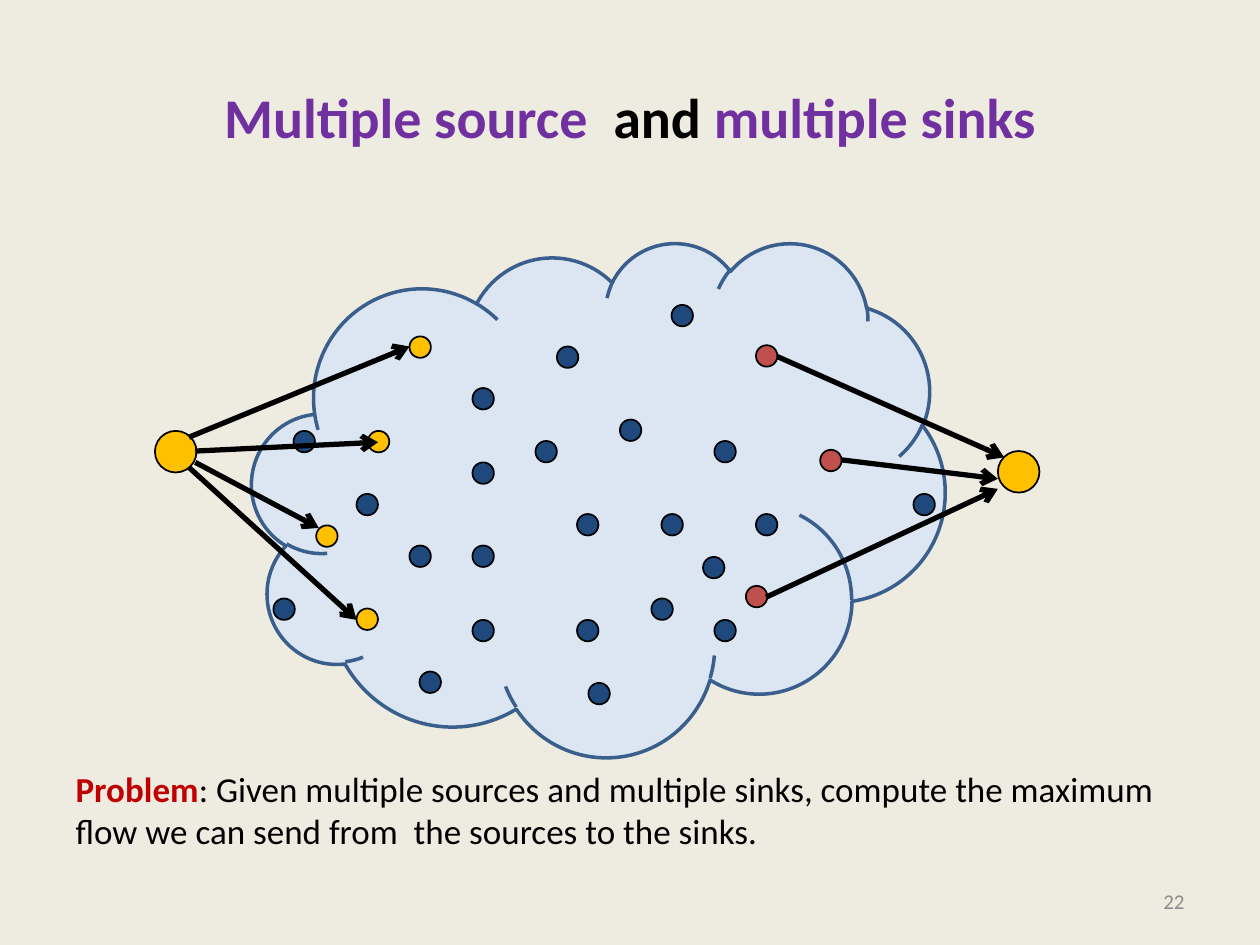
from typing import NamedTuple

from lxml.etree import SubElement
from pptx import Presentation
from pptx.dml.color import RGBColor
from pptx.enum.shapes import MSO_CONNECTOR, MSO_SHAPE
from pptx.enum.text import MSO_ANCHOR, PP_ALIGN
from pptx.oxml.ns import qn
from pptx.util import Inches, Pt

BLACK, PURPLE, RED = "000000", "7030A0", "C00000"
GOLD, BRICK, NAVY = "FFC000", "C0504D", "1F497D"
NODE_SIZE, TERMINAL_SIZE = 0.17, 0.33


class NodeSet(NamedTuple):
    color: str
    size: float
    corners: list[tuple[float, float]]


class Edge(NamedTuple):
    start: tuple[float, float]
    end: tuple[float, float]


def rgb(color: str) -> RGBColor:
    return RGBColor.from_string(color)


def paint(shape, fill: str, line: str, width: float) -> None:
    shape.shadow.inherit = False
    shape.fill.solid()
    shape.fill.fore_color.rgb = rgb(fill)
    shape.line.color.rgb = rgb(line)
    shape.line.width = Pt(width)


def place(shape, left: float, top: float, width: float, height: float) -> None:
    shape.left, shape.top = Inches(left), Inches(top)
    shape.width, shape.height = Inches(width), Inches(height)


def add_runs(paragraph, runs: list[tuple[str, str, bool]]) -> None:
    for text, color, bold in runs:
        run = paragraph.add_run()
        run.text = text
        run.font.color.rgb = rgb(color)
        run.font.bold = bold


def draw_nodes(shapes, nodes: NodeSet) -> None:
    group = shapes.add_group_shape()
    size = Inches(nodes.size)
    for left, top in nodes.corners:
        node = group.shapes.add_shape(
            MSO_SHAPE.OVAL, Inches(left), Inches(top), size, size)
        paint(node, nodes.color, BLACK, 1)


def draw_edges(shapes, edges: list[Edge]) -> None:
    group = shapes.add_group_shape()
    for edge in edges:
        arrow = group.shapes.add_connector(
            MSO_CONNECTOR.STRAIGHT, *map(Inches, edge.start + edge.end))
        arrow.line.color.rgb = rgb(BLACK)
        arrow.line.width = Pt(3)
        SubElement(arrow.line._get_or_add_ln(), qn("a:tailEnd"), type="arrow")
        SubElement(arrow._element.spPr, qn("a:effectLst"))


NODE_SETS = [
    # Sources
    NodeSet(GOLD, NODE_SIZE,
            [(2.92, 3.42), (3.25, 2.67), (2.51, 4.17), (2.83, 4.83)]),
    # Sinks
    NodeSet(BRICK, NODE_SIZE, [(6, 2.74), (6.51, 3.57), (5.92, 4.65)]),
    # Inner vertices
    NodeSet(NAVY, NODE_SIZE, [
        (2.17, 4.75), (3.75, 4.33), (3.33, 5.33), (2.33, 3.42), (2.83, 3.92),
        (3.75, 3.67), (3.75, 4.92), (4.58, 4.92), (5.17, 4.75), (5.67, 4.92),
        (4.58, 4.08), (5.25, 4.08), (6, 4.08), (5.58, 4.42), (3.75, 3.08),
        (7.25, 3.92), (3.25, 4.33), (4.42, 2.75), (4.67, 5.42), (4.92, 3.33),
        (5.33, 2.42), (5.67, 3.5), (4.25, 3.5)]),
    # Super source and super sink
    NodeSet(GOLD, TERMINAL_SIZE, [(1.23, 3.42)]),
    NodeSet(GOLD, TERMINAL_SIZE, [(7.92, 3.58)]),
]
SOURCE_EDGES = [
    Edge((1.5, 3.47), (3.25, 2.75)),
    Edge((1.55, 3.58), (3, 3.51)),
    Edge((1.55, 3.67), (2.53, 4.19)),
    Edge((1.5, 3.71), (2.83, 4.92)),
]
SINK_EDGES = [
    Edge((6.17, 2.83), (7.97, 3.63)),
    Edge((6.68, 3.65), (7.92, 3.8)),
    Edge((6.08, 4.74), (7.92, 3.88)),
]


def main() -> None:
    prs = Presentation()
    prs.slide_width, prs.slide_height = Inches(10), Inches(7.5)
    slide = prs.slides.add_slide(prs.slide_layouts[1])
    slide.background.fill.solid()
    slide.background.fill.fore_color.rgb = rgb("EEECE1")

    # Title
    title = slide.shapes.title
    place(title, 0.5, 0.3, 9, 1.25)
    title.text_frame.vertical_anchor = MSO_ANCHOR.MIDDLE
    heading = title.text_frame.paragraphs[0]
    heading.alignment = PP_ALIGN.CENTER
    heading.font.name, heading.font.size = "Calibri", Pt(32)
    add_runs(heading, [("Multiple source  ", PURPLE, True),
                       ("and", BLACK, True),
                       (" multiple sinks", PURPLE, True)])

    # Problem statement
    statement = slide.placeholders[1]
    place(statement, 0.5, 6.04, 9, 0.9)
    problem = statement.text_frame.paragraphs[0]
    props = problem._p.get_or_add_pPr()
    props.set("marL", "0")
    props.set("indent", "0")
    problem.space_before = Pt(0)
    SubElement(props, qn("a:buNone"))
    problem.font.name, problem.font.size = "Calibri", Pt(20)
    add_runs(problem, [
        ("Problem", RED, True),
        (": Given multiple sources and multiple sinks, compute the maximum "
         "flow we can send from  the sources to the sinks.", BLACK, False)])

    # Slide number
    footer = slide.shapes.add_textbox(
        Inches(7.17), Inches(6.95), Inches(2.33), Inches(0.4))
    footer.text_frame.word_wrap = True
    footer.text_frame.vertical_anchor = MSO_ANCHOR.MIDDLE
    number = footer.text_frame.paragraphs[0]
    number.text = "22"
    number.alignment = PP_ALIGN.RIGHT
    number.font.name, number.font.size = "Calibri", Pt(12)
    number.font.color.rgb = rgb("8C8C8C")

    # Flow network
    cloud = slide.shapes.add_shape(
        MSO_SHAPE.CLOUD, Inches(2), Inches(1.92), Inches(5.5), Inches(4.08))
    paint(cloud, "DCE6F2", "3A5F8C", 2)
    for nodes in NODE_SETS:
        draw_nodes(slide.shapes, nodes)
    for edges in (SOURCE_EDGES, SINK_EDGES):
        draw_edges(slide.shapes, edges)

    prs.save("out.pptx")


if __name__ == "__main__":
    main()
